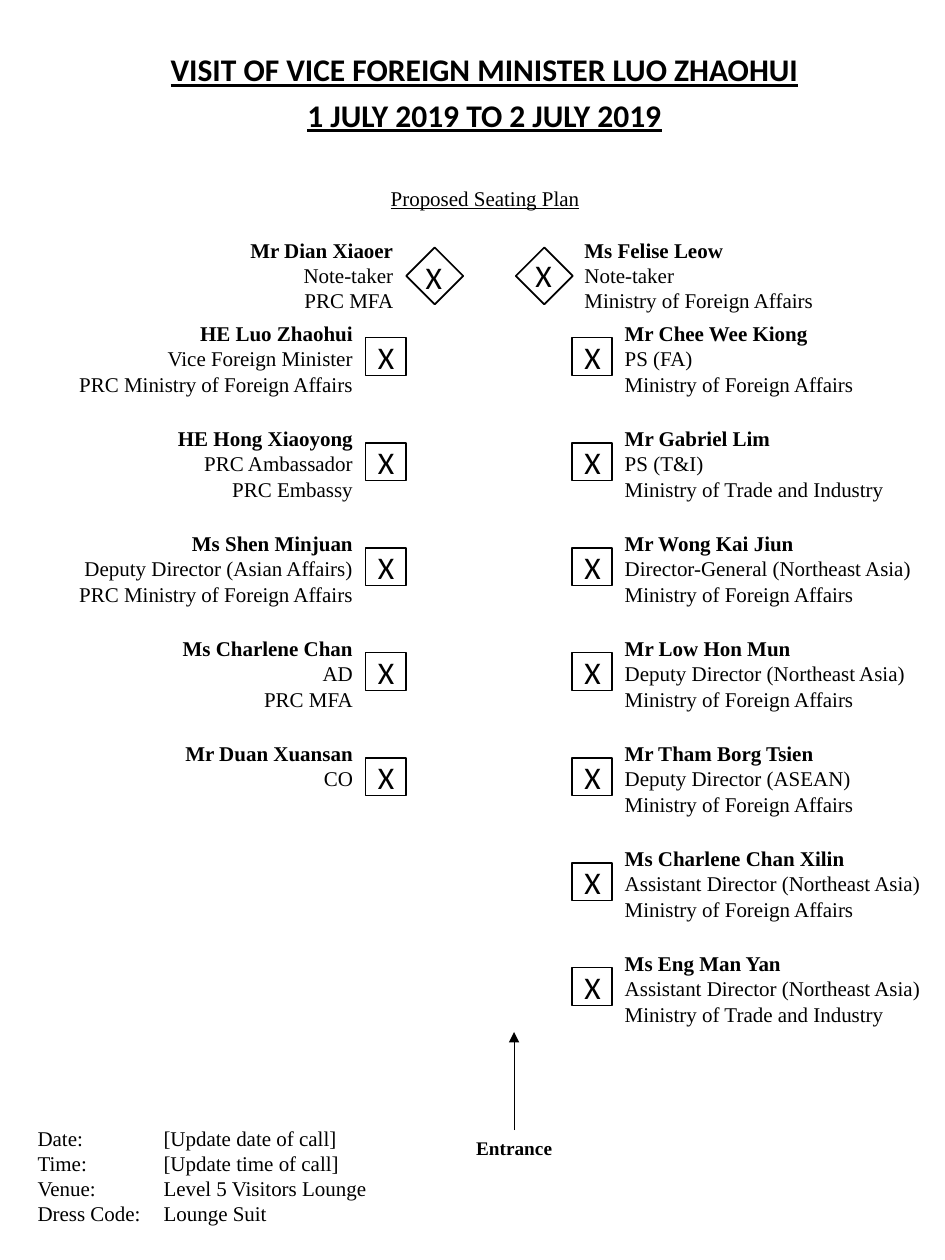
from copy import deepcopy
from dataclasses import dataclass

from lxml.etree import SubElement
from pptx import Presentation
from pptx.dml.color import RGBColor
from pptx.enum.shapes import MSO_CONNECTOR, MSO_SHAPE
from pptx.enum.text import MSO_ANCHOR, MSO_AUTO_SIZE, PP_ALIGN
from pptx.oxml.ns import qn
from pptx.util import Inches, Pt


@dataclass(frozen=True)
class Theme:
    """Colours, fonts and type sizes of the seating plan."""
    ink: RGBColor = RGBColor(0, 0, 0)
    paper: RGBColor = RGBColor(255, 255, 255)
    heading_font: str = "Calibri"
    body_font: str = "Times New Roman"
    heading_size: int = 18
    body_size: int = 12
    entrance_size: int = 11


@dataclass(frozen=True)
class Guest:
    """A seated person and the width of the label."""
    name: str
    role: str
    width: float


THEME = Theme()
ROW_TOP, ROW_STEP, LABEL_HEIGHT = 2.49, 5 / 6, 0.71
SEAT_WIDTH, SEAT_HEIGHT, SEAT_OFFSET = 0.32, 0.3, 0.19
LEFT_SEAT, RIGHT_SEAT = 2.9, 4.54

VISITORS = [
    Guest("HE Luo Zhaohui", "Vice Foreign Minister\nPRC Ministry of Foreign Affairs", 2.4),
    Guest("HE Hong Xiaoyong", "PRC Ambassador\nPRC Embassy", 1.6),
    Guest("Ms Shen Minjuan", "Deputy Director (Asian Affairs)\nPRC Ministry of Foreign Affairs", 2.4),
    Guest("Ms Charlene Chan", "AD\nPRC MFA", 1.57),
    Guest("Mr Duan Xuansan", "CO\n", 1.54),
]
HOSTS = [
    Guest("Mr Chee Wee Kiong", "PS (FA)\nMinistry of Foreign Affairs", 2.04),
    Guest("Mr Gabriel Lim", "PS (T&I)\nMinistry of Trade and Industry", 2.28),
    Guest("Mr Wong Kai Jiun", "Director-General (Northeast Asia)\nMinistry of Foreign Affairs", 2.5),
    Guest("Mr Low Hon Mun", "Deputy Director (Northeast Asia)\nMinistry of Foreign Affairs", 2.45),
    Guest("Mr Tham Borg Tsien", "Deputy Director (ASEAN)\nMinistry of Foreign Affairs", 2.04),
    Guest("Ms Charlene Chan Xilin", "Assistant Director (Northeast Asia)\nMinistry of Foreign Affairs", 2.58),
    Guest("Ms Eng Man Yan", "Assistant Director (Northeast Asia)\nMinistry of Trade and Industry", 2.58),
]
VISITOR_NOTE_TAKER = Guest("Mr Dian Xiaoer", "Note-taker\nPRC MFA", 1.35)
HOST_NOTE_TAKER = Guest("Ms Felise Leow", "Note-taker\nMinistry of Foreign Affairs", 2.04)
DETAILS = [
    ("Date:", "[Update date of call]"),
    ("Time:", "[Update time of call]"),
    ("Venue:", "Level 5 Visitors Lounge"),
    ("Dress Code:", "Lounge Suit"),
]


def write(paragraph, text: str, *, size: int = THEME.body_size, font: str = THEME.body_font,
          bold: bool = False, underline: bool = False, align=PP_ALIGN.LEFT) -> None:
    """Append formatted text, turning newlines into line breaks of the same format."""
    paragraph.alignment = align
    for index, line in enumerate(text.split("\n")):
        if index:
            paragraph.add_line_break()
            paragraph._p[-1].append(deepcopy(run._r.rPr))
        if not line:
            continue
        run = paragraph.add_run()
        run.text = line
        run.font.size, run.font.name = Pt(size), font
        run.font.bold, run.font.underline = bold, underline
        run.font.color.rgb = THEME.ink


def fit(shape, left: float, top: float, width: float, height: float, wrap: bool, anchor):
    """Place a text shape and return its first paragraph."""
    shape.left, shape.top = Inches(left), Inches(top)
    shape.width, shape.height = Inches(width), Inches(height)
    frame = shape.text_frame
    frame.word_wrap, frame.vertical_anchor = wrap, anchor
    frame.auto_size = MSO_AUTO_SIZE.SHAPE_TO_FIT_TEXT
    return frame.paragraphs[0]


def add_text(slide, left: float, top: float, width: float, height: float,
             wrap: bool = False, anchor=MSO_ANCHOR.TOP):
    """Add a text box and return its first paragraph."""
    return fit(slide.shapes.add_textbox(0, 0, 0, 0), left, top, width, height, wrap, anchor)


def add_square(slide, left: float, top: float, height: float):
    """Add an outlined seat."""
    shape = slide.shapes.add_shape(MSO_SHAPE.RECTANGLE, Inches(left), Inches(top),
                                   Inches(SEAT_WIDTH), Inches(height))
    shape.shadow.inherit = False
    shape.fill.solid()
    shape.fill.fore_color.rgb = THEME.paper
    shape.line.color.rgb = THEME.ink
    shape.line.width = Pt(1)
    return shape


def add_label(slide, guest: Guest, edge: float, top: float, on_left: bool) -> None:
    """Add a guest's name and role, ending or starting at the given edge."""
    left = edge - guest.width if on_left else edge
    align = PP_ALIGN.RIGHT if on_left else PP_ALIGN.LEFT
    paragraph = add_text(slide, left, top, guest.width, LABEL_HEIGHT, anchor=MSO_ANCHOR.MIDDLE)
    write(paragraph, guest.name + "\n", bold=True, align=align)
    write(paragraph, guest.role, align=align)
    if guest.role.endswith("\n"):
        SubElement(paragraph._p, qn("a:endParaRPr"), sz=str(THEME.body_size * 100))


def add_column(slide, guests: list[Guest], seat_left: float, on_left: bool) -> None:
    """Add one side of the table."""
    for row, guest in enumerate(guests):
        top = ROW_TOP + row * ROW_STEP
        seat = add_square(slide, seat_left, top + SEAT_OFFSET, SEAT_HEIGHT)
        seat.text_frame.vertical_anchor = MSO_ANCHOR.MIDDLE
        write(seat.text_frame.paragraphs[0], "X", size=THEME.heading_size,
              font=THEME.heading_font, align=PP_ALIGN.CENTER)
        add_label(slide, guest, seat_left if on_left else seat_left + SEAT_WIDTH, top, on_left)


def add_note_taker(slide, guest: Guest, seat_left: float, edge: float,
                   mark_top: float, on_left: bool) -> None:
    """Add a diamond seat with its mark and label."""
    add_square(slide, seat_left, 2.03, SEAT_WIDTH).rotation = 45
    add_label(slide, guest, edge, 1.83, on_left)
    write(add_text(slide, seat_left - 0.01, mark_top, 0.33, 0.4), "X",
          size=THEME.heading_size, font=THEME.heading_font)


def add_headings(slide) -> None:
    """Add the title, the dates and the plan heading."""
    title = fit(slide.shapes.title, 1.23, 0.35, 5.23, 0.4, False, MSO_ANCHOR.TOP)
    dates = add_text(slide, 2.32, 0.71, 3.05, 0.4)
    for paragraph, text in ((title, "VISIT OF VICE FOREIGN MINISTER LUO ZHAOHUI"),
                            (dates, "1 JULY 2019 TO 2 JULY 2019")):
        write(paragraph, text, size=THEME.heading_size, font=THEME.heading_font,
              bold=True, underline=True, align=PP_ALIGN.CENTER)
    write(add_text(slide, 2.89, 1.42, 1.92, 0.3, wrap=True), "Proposed Seating Plan",
          underline=True, align=PP_ALIGN.CENTER)


def add_entrance(slide) -> None:
    """Add the entrance arrow and its caption."""
    write(add_text(slide, 3.34, 8.97, 1.48, 0.29, wrap=True), "Entrance",
          size=THEME.entrance_size, bold=True, align=PP_ALIGN.CENTER)
    arrow = slide.shapes.add_connector(MSO_CONNECTOR.STRAIGHT, Inches(4.08), Inches(8.97),
                                       Inches(4.08), Inches(8.19))
    arrow.line.color.rgb = THEME.ink
    arrow.line.width = Pt(0.5)
    SubElement(arrow.line._get_or_add_ln(), qn("a:tailEnd"), type="triangle")
    SubElement(arrow._element.spPr, qn("a:effectLst"))


def add_details(slide) -> None:
    """Add the practical details, aligned on one tab stop."""
    paragraph = add_text(slide, 0.2, 8.88, 2.84, 0.91)
    frame = slide.shapes[-1].text_frame
    for index, (label, value) in enumerate(DETAILS):
        if index:
            paragraph = frame.add_paragraph()
        write(paragraph, f"{label}\t{value}")
        tabs = SubElement(paragraph._p.get_or_add_pPr(), qn("a:tabLst"))
        SubElement(tabs, qn("a:tab"), pos=str(Inches(1)), algn="l")


def main() -> None:
    """Build the seating plan."""
    presentation = Presentation()
    presentation.slide_width, presentation.slide_height = Inches(7.5), Inches(10)
    slide = presentation.slides.add_slide(presentation.slide_layouts[5])
    add_headings(slide)
    add_details(slide)
    add_column(slide, VISITORS, LEFT_SEAT, True)
    add_column(slide, HOSTS, RIGHT_SEAT, False)
    add_note_taker(slide, VISITOR_NOTE_TAKER, 3.29, 3.22, 2, True)
    add_note_taker(slide, HOST_NOTE_TAKER, 4.16, 4.54, 1.98, False)
    add_entrance(slide)
    presentation.save("out.pptx")


main()
